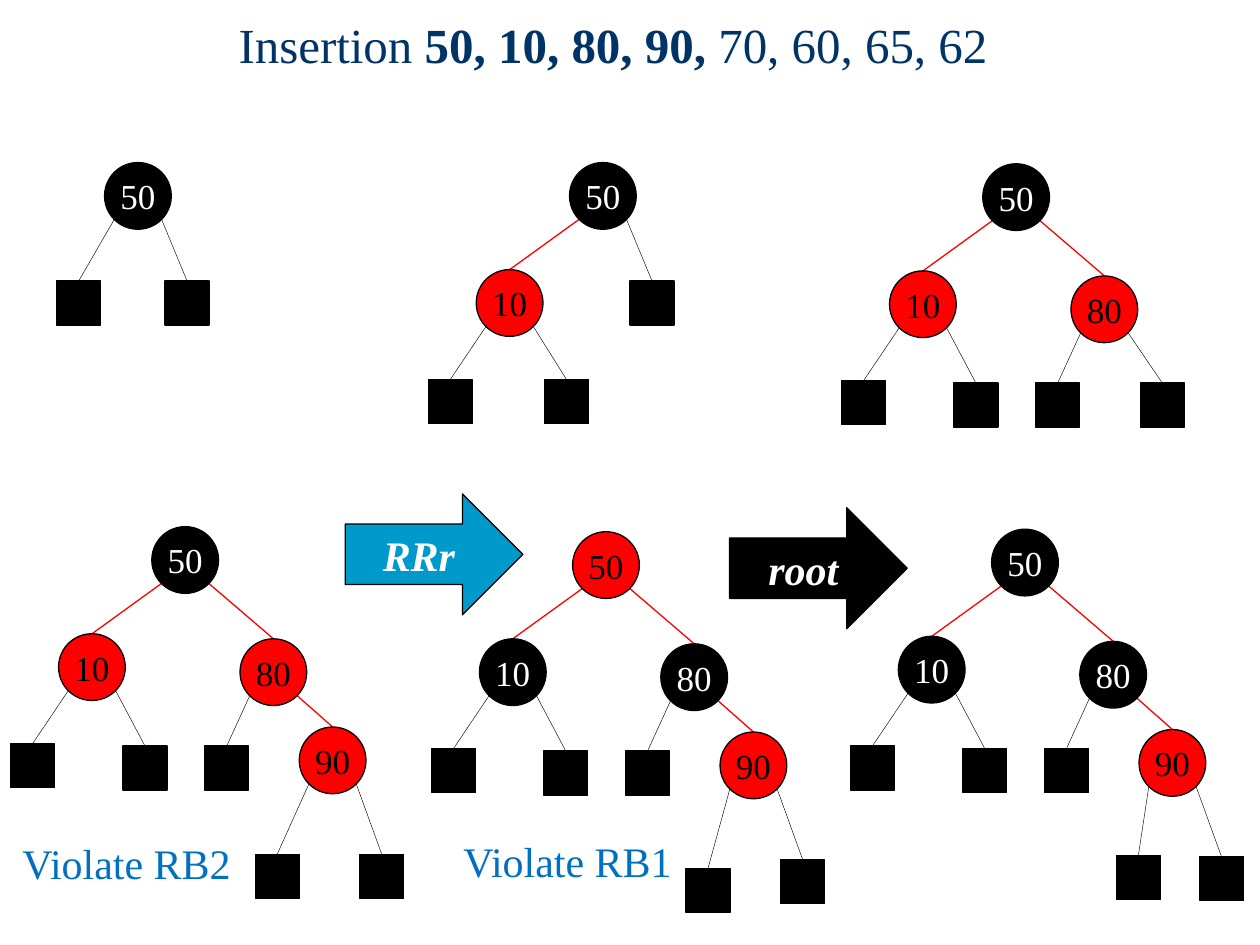
"""Red-black tree insertion slide: six trees, from inserting 50 to fixing the root after 90."""
from lxml import etree
from pptx import Presentation
from pptx import util as u
from pptx.dml.color import RGBColor
from pptx.enum import shapes, text
from pptx.oxml.ns import qn

BLACK = RGBColor(0x00, 0x00, 0x00)
WHITE = RGBColor(0xFF, 0xFF, 0xFF)
RED = RGBColor(0xFF, 0x00, 0x00)
NAVY = RGBColor(0x00, 0x33, 0x66)
TEAL = RGBColor(0x00, 0x99, 0xCC)
BLUE = RGBColor(0x00, 0x70, 0xC0)

deck = Presentation()
deck.slide_width, deck.slide_height = u.Inches(10), u.Inches(7.5)
CELL = deck.slide_width / 100
slide = deck.slides.add_slide(deck.slide_layouts[5])


def write(paragraph, words, size, color, bold=False, italic=False):
    run = paragraph.add_run()
    run.text = words
    run.font.name, run.font.size = "Times New Roman", u.Pt(size)
    run.font.bold, run.font.italic = bold, italic
    run.font.color.rgb = color
    paragraph.alignment = text.PP_ALIGN.CENTER


def block(preset, left, top, width, height, fill):
    outline = slide.shapes.add_shape(preset, *(round(n * CELL) for n in (left, top, width, height)))
    outline.shadow.inherit = False
    outline.fill.solid()
    outline.fill.fore_color.rgb = fill
    outline.line.color.rgb = BLACK
    outline.line.width = u.Pt(0.75)
    outline.text_frame.word_wrap = False
    outline.text_frame.vertical_anchor = text.MSO_ANCHOR.MIDDLE
    return outline


title = slide.shapes.title
title.left, title.top, title.width, title.height = (round(n * CELL) for n in (3.4, -2.8, 90.5, 12.5))
title.text_frame.vertical_anchor = text.MSO_ANCHOR.MIDDLE
for words, inserted in (("Insertion ", False), ("50, 10, 80, 90, ", True), ("70, 60, 65, 62", False)):
    write(title.text_frame.paragraphs[0], words, 28, NAVY, bold=inserted)

NODE, LEAF = 5.3, 3.5
EDGE_X, EDGE_Y = 1.87, 4.5
KEY_OFFSETS = {50: (0, 0), 10: (-7.4, 8.5), 80: (7, 8.9), 90: (11.7, 15.9)}
BRANCHES = [
    (50, -1, 10, (-4.7, 9.4)), (50, 1, 80, (3.9, 9.4)),
    (10, -1, None, (-12.1, 17.2)), (10, 1, None, (-3.2, 17.4)),
    (80, -1, None, (3.3, 17.4)), (80, 1, 90, (11.6, 17.4)),
    (90, -1, None, (7.3, 26)), (90, 1, None, (15.6, 26)),
]
TREES = [
    (10.95, 12.9, {50: BLACK}, {}),
    (47.85, 12.9, {50: BLACK, 10: RED}, {(10, 1): (-2.9, 17.2)}),
    (80.65, 13, {50: BLACK, 10: RED, 80: RED}, {}),
    (14.7, 41.8, {50: BLACK, 10: RED, 80: RED, 90: RED}, {}),
    (48.1, 42.2, {50: RED, 10: BLACK, 80: BLACK, 90: RED}, {(90, -1): (8.1, 26.7)}),
    (81.35, 42, {50: BLACK, 10: BLACK, 80: BLACK, 90: RED}, {(90, -1): (9, 25.9)}),
]

for root_x, root_y, keys, moved_leaves in TREES:
    for parent, side, child, leaf_offset in BRANCHES:
        if parent not in keys:
            continue
        has_key = child in keys
        dx, dy = KEY_OFFSETS[child] if has_key else moved_leaves.get((parent, side), leaf_offset)
        parent_dx, parent_dy = KEY_OFFSETS[parent]
        ends = (root_x + dx, root_y + dy,
                root_x + parent_dx + side * EDGE_X, root_y + parent_dy + EDGE_Y)
        edge = slide.shapes.add_connector(shapes.MSO_CONNECTOR.STRAIGHT, *(round(n * CELL) for n in ends))
        edge.line.color.rgb = RED if has_key else BLACK
        edge.line.width = u.Pt(0.75 if has_key else 0.25)
        etree.SubElement(edge._element.spPr, qn("a:effectLst"))
        if not has_key:
            block(shapes.MSO_SHAPE.RECTANGLE, root_x + dx - LEAF / 2, root_y + dy, LEAF, LEAF, BLACK)
    for key, color in keys.items():
        dx, dy = KEY_OFFSETS[key]
        node = block(shapes.MSO_SHAPE.OVAL, root_x + dx - NODE / 2, root_y + dy, NODE, NODE, color)
        write(node.text_frame.paragraphs[0], str(key), 20, WHITE if color == BLACK else BLACK)

for step, left, top, fill in (("RRr", 27.4, 39.2, TEAL), ("root", 57.9, 40.3, BLACK)):
    arrow = block(shapes.MSO_SHAPE.RIGHT_ARROW, left, top, 14.1, 9.6, fill)
    write(arrow.text_frame.paragraphs[0], step, 24, WHITE, bold=True, italic=True)

for violation, left, top in (("Violate RB2", 0.4, 66), ("Violate RB1", 35.4, 65.8)):
    note = slide.shapes.add_textbox(*(round(n * CELL) for n in (left, top, 19.3, 5)))
    note.text_frame.word_wrap = True
    note.text_frame.auto_size = text.MSO_AUTO_SIZE.SHAPE_TO_FIT_TEXT
    write(note.text_frame.paragraphs[0], violation, 24, BLUE)

deck.save("out.pptx")
